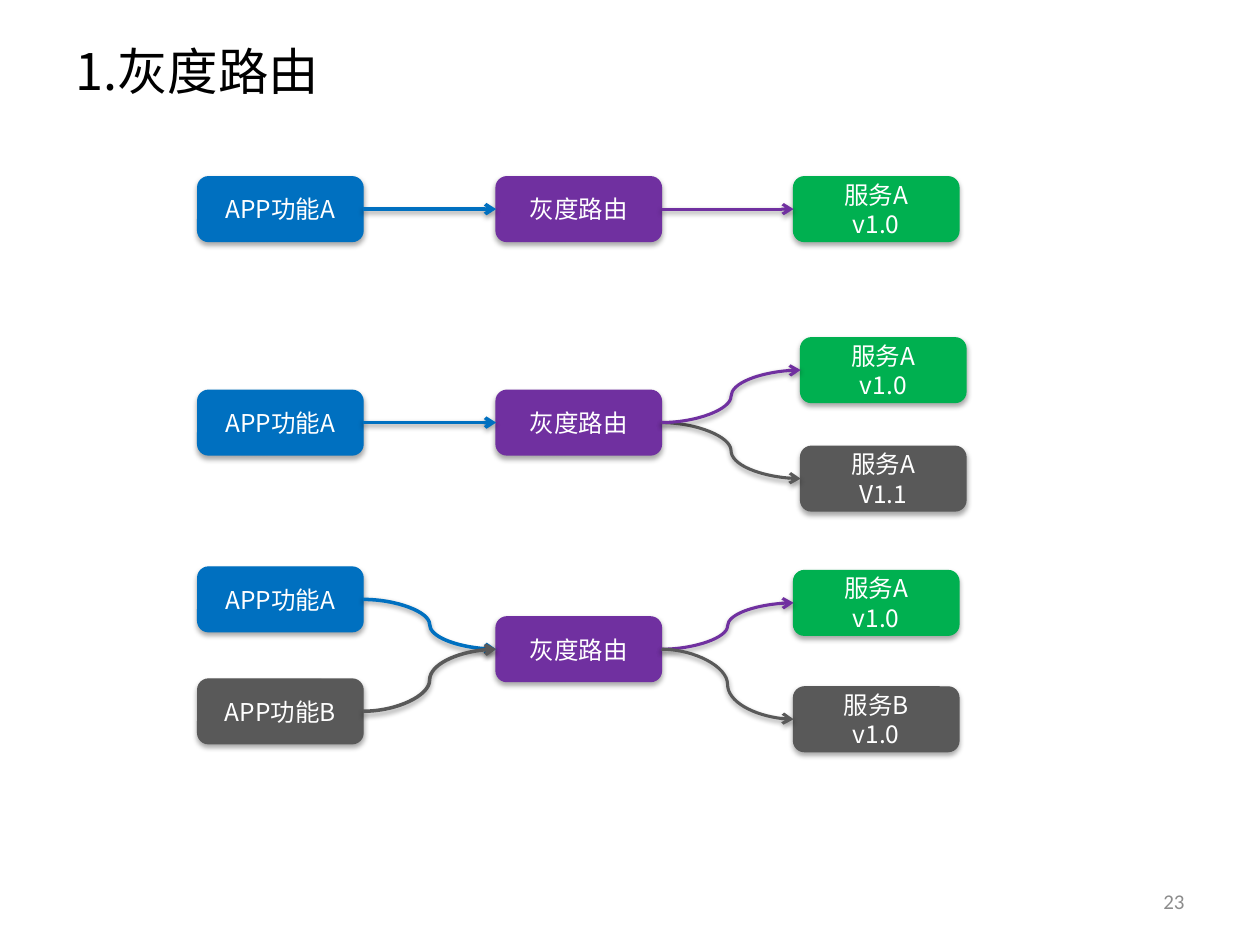
"""Build the grey-release routing slide."""
import lxml.etree
import pptx
import pptx.dml.color
import pptx.enum.shapes
import pptx.enum.text
import pptx.oxml.ns
import pptx.util

Pt = pptx.util.Pt
ALIGN = pptx.enum.text.PP_ALIGN
CJK_FONT = "Noto Sans CJK SC"
BLUE, PURPLE, GREEN, GREY = "0070C0", "7030A0", "00B050", "595959"
BOX_WIDTH, BOX_HEIGHT = 94.5, 37
APP_LEFT, ROUTER_LEFT, SERVICE_LEFT, SHIFTED_LEFT = 113, 283.5, 453.5, 457.5


def color(value):
    """Turn a hex string into a colour."""
    return pptx.dml.color.RGBColor.from_string(value)


def add_element(parent, tag, **attributes):
    """Append a DrawingML element to a parent."""
    element = lxml.etree.SubElement(parent, pptx.oxml.ns.qn(tag))
    for name, value in attributes.items():
        element.set(name, str(value))
    return element


def add_shadow(effects, distance, opacity):
    """Put a soft downward shadow in an effect list."""
    shadow = add_element(effects, "a:outerShdw", blurRad=Pt(3.1), dist=Pt(distance),
                         dir=5400000, rotWithShape=0)
    black = add_element(shadow, "a:srgbClr", val="000000")
    add_element(black, "a:alpha", val=opacity * 1000)


def write_text(shape, text, size, hex_color, alignment, font=CJK_FONT):
    """Write and format the text of a shape."""
    frame = shape.text_frame
    frame.text = text
    frame.word_wrap = True
    frame.vertical_anchor = pptx.enum.text.MSO_ANCHOR.MIDDLE
    for paragraph in frame.paragraphs:
        paragraph.alignment = alignment
        for run in paragraph.runs:
            run.font.name = font
            run.font.size = Pt(size)
            run.font.color.rgb = color(hex_color)
            add_element(run.font._element, "a:ea", typeface=font)


def add_title(slide, text):
    """Place and fill the title placeholder."""
    title = slide.shapes.title
    title.left, title.top, title.width, title.height = Pt(36), Pt(21.6), Pt(648), Pt(36.7)
    write_text(title, text, 28.8, "000000", ALIGN.LEFT)


def add_page_number(slide, text):
    """Add the page number at the lower right."""
    box = slide.shapes.add_textbox(Pt(516), Pt(500.5), Pt(168), Pt(28.8))
    write_text(box, text, 12, "8C8C8C", ALIGN.RIGHT, "Calibri")


def add_box(slide, left, top, text, hex_color):
    """Add a rounded node with a shadow."""
    box = slide.shapes.add_shape(pptx.enum.shapes.MSO_SHAPE.ROUNDED_RECTANGLE,
                                 Pt(left), Pt(top), Pt(BOX_WIDTH), Pt(BOX_HEIGHT))
    box.fill.solid()
    box.fill.fore_color.rgb = color(hex_color)
    box.line.color.rgb = color(hex_color)
    box.line.width = Pt(0.75)
    box.shadow.inherit = False
    add_shadow(box._element.spPr.find(pptx.oxml.ns.qn("a:effectLst")), 1.8, 35)
    write_text(box, text, 14, "FFFFFF", ALIGN.CENTER)
    return box


def add_arrow(slide, source, target, hex_color, width=1.75):
    """Join two nodes, straight when level and curved otherwise."""
    kinds = pptx.enum.shapes.MSO_CONNECTOR
    kind = kinds.STRAIGHT if source.top == target.top else kinds.CURVE
    arrow = slide.shapes.add_connector(kind, 0, 0, 0, 0)
    arrow.begin_connect(source, 3)
    arrow.end_connect(target, 1)
    arrow.line.color.rgb = color(hex_color)
    arrow.line.width = Pt(width)
    add_element(arrow.line._get_or_add_ln(), "a:tailEnd", type="arrow")
    add_shadow(add_element(arrow._element.spPr, "a:effectLst"), 1.6, 38)


def add_flow(slide, router_top, apps, services, service_left=SERVICE_LEFT):
    """Add one router with its callers and its services."""
    router = add_box(slide, ROUTER_LEFT, router_top, "灰度路由", PURPLE)
    for top, text, hex_color in apps:
        app = add_box(slide, APP_LEFT, top, text, hex_color)
        add_arrow(slide, app, router, hex_color, 2)
    for top, text, hex_color in services:
        service = add_box(slide, service_left, top, text, hex_color)
        add_arrow(slide, router, service, PURPLE if hex_color == GREEN else hex_color)


def main():
    """Build and save the presentation."""
    presentation = pptx.Presentation()
    presentation.slide_width, presentation.slide_height = Pt(720), Pt(540)
    slide = presentation.slides.add_slide(presentation.slide_layouts[5])
    add_title(slide, "1.灰度路由")
    app, service = "APP功能A", "服务A\nv1.0"
    add_flow(slide, 101, [(101, app, BLUE)], [(101, service, GREEN)])
    add_flow(slide, 223, [(223, app, BLUE)],
             [(255, "服务A\nV1.1", GREY), (193, service, GREEN)], SHIFTED_LEFT)
    add_flow(slide, 352.5, [(324, app, BLUE), (388, "APP功能B", GREY)],
             [(326, service, GREEN), (392.5, "服务B\nv1.0", GREY)])
    add_page_number(slide, "23")
    presentation.save("out.pptx")


if __name__ == "__main__":
    main()
